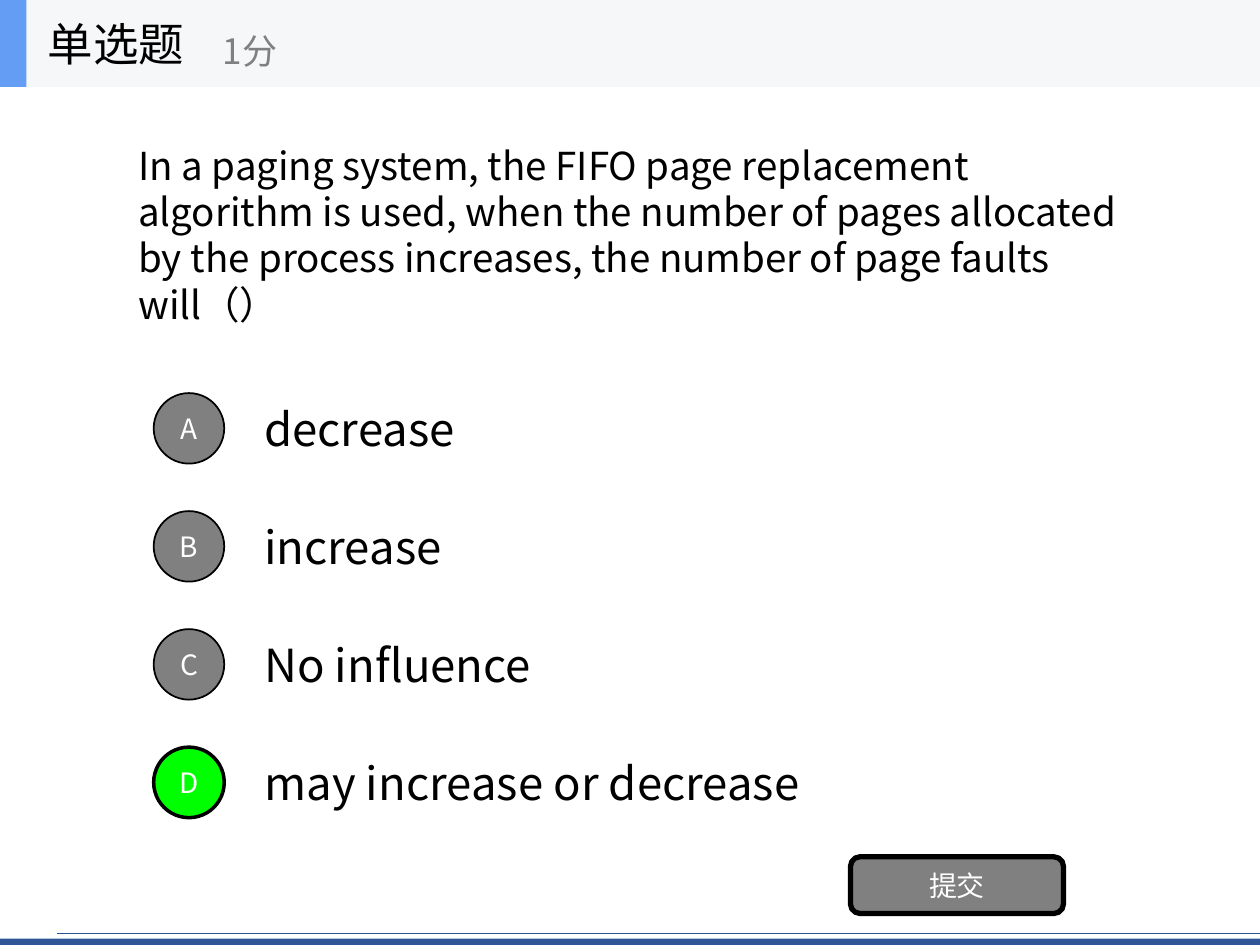
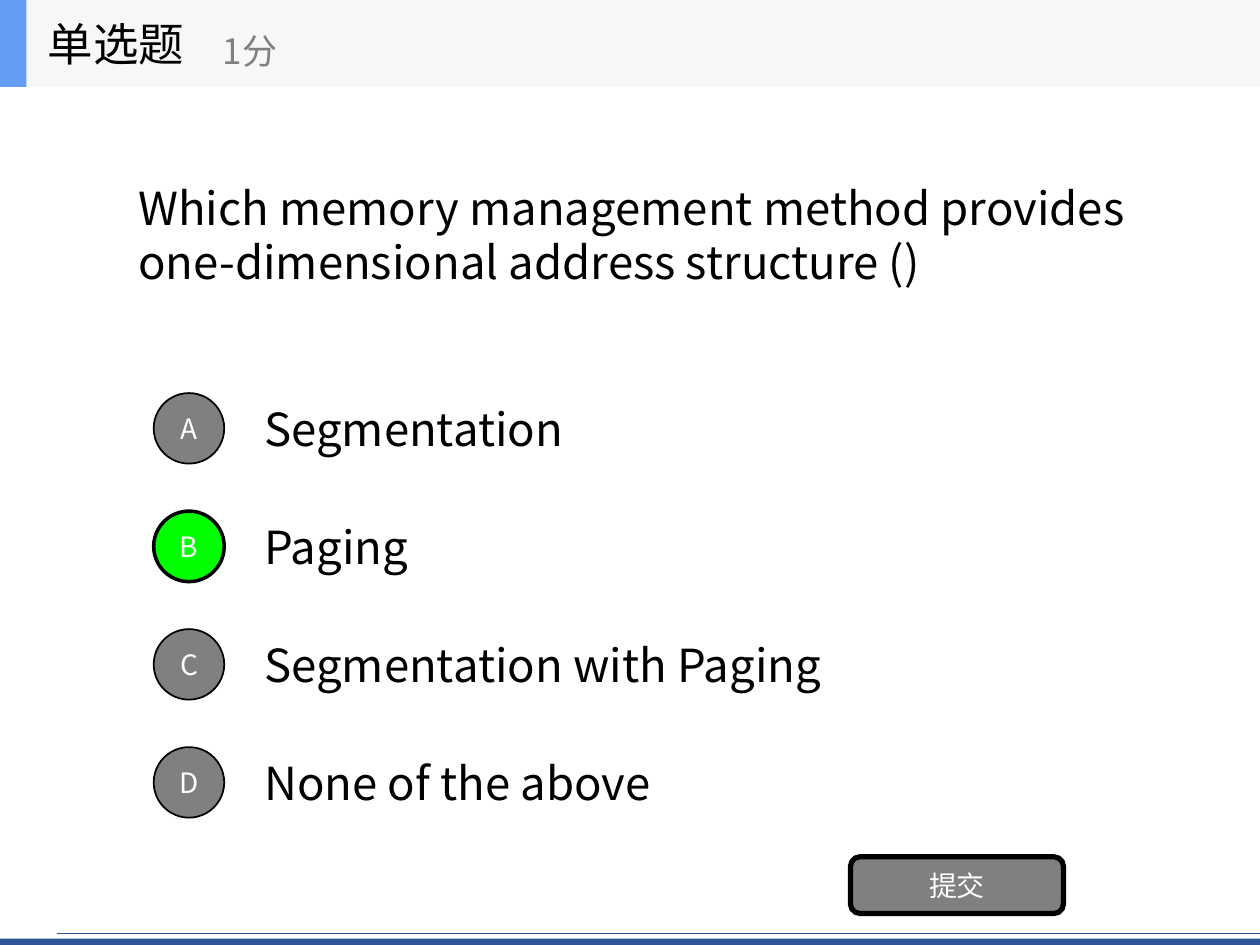
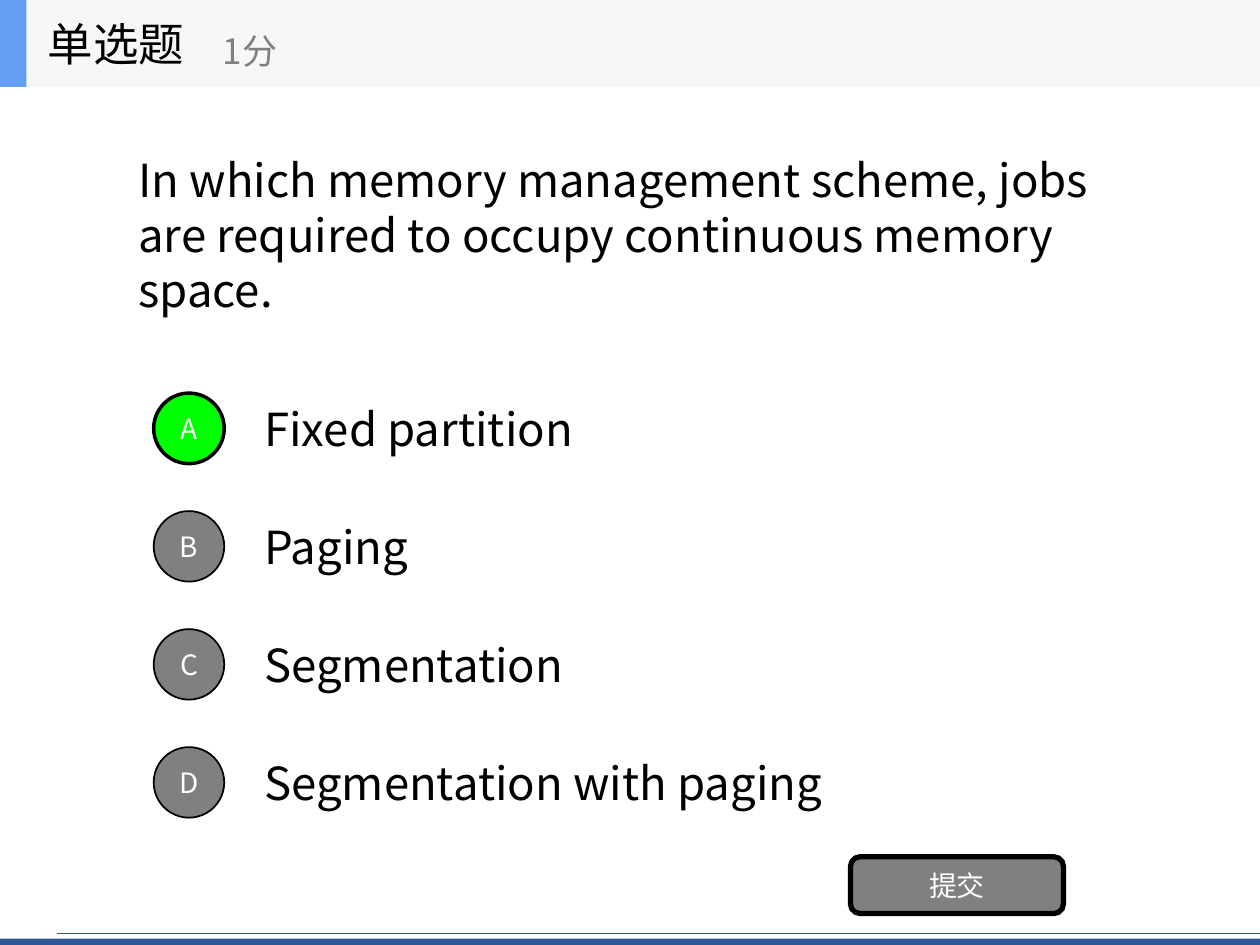
from lxml.etree import SubElement
from pptx import Presentation
from pptx.dml.color import RGBColor
from pptx.enum.shapes import MSO_CONNECTOR, MSO_SHAPE
from pptx.enum.text import MSO_ANCHOR, PP_ALIGN
from pptx.oxml.ns import qn
from pptx.util import Inches, Pt

FONT = "Noto Sans CJK SC"
BLACK = RGBColor(0x00, 0x00, 0x00)
WHITE = RGBColor(0xFF, 0xFF, 0xFF)
GRAY = RGBColor(0x80, 0x80, 0x80)
GREEN = RGBColor(0x00, 0xFF, 0x00)
NAVY = RGBColor(0x2F, 0x55, 0x97)
HEADER_FILL = RGBColor(0xF6, 0xF7, 0xF8)
HEADER_ACCENT = RGBColor(0x63, 0x9E, 0xF4)

SLIDE_WIDTH = 10
HEADER_HEIGHT = 0.69
FIRST_OPTION_TOP = 3.05
OPTION_STEP = 2.81 / 3
OPTION_HEIGHT = 0.7
CIRCLE_SIZE = 0.56

QUESTIONS = [
    {
        "text": "In a paging system, the FIFO page replacement algorithm is used, "
        "when the number of pages allocated by the process increases, "
        "the number of page faults will（）",
        "size": 22,
        "width": 8,
        "options": ["decrease", "increase", "No influence", "may increase or decrease"],
        "answer": "D",
    },
    {
        "text": "Which memory management method provides "
        "one-dimensional address structure ()",
        "size": 26,
        "width": 8.86,
        "options": ["Segmentation", "Paging", "Segmentation with Paging", "None of the above"],
        "answer": "B",
    },
    {
        "text": "In which memory management scheme, jobs are required "
        "to occupy continuous memory space.",
        "size": 26,
        "width": 8,
        "options": ["Fixed partition", "Paging", "Segmentation", "Segmentation with paging"],
        "answer": "A",
    },
]


def add_box(shapes, kind, left, top, width, height, fill, line_width=0):
    shape = shapes.add_shape(kind, Inches(left), Inches(top), Inches(width), Inches(height))
    shape.shadow.inherit = False
    shape.fill.solid()
    shape.fill.fore_color.rgb = fill
    if line_width:
        shape.line.color.rgb = BLACK
        shape.line.width = Pt(line_width)
    else:
        shape.line.fill.background()
    return shape


def write_text(shape, text, size, color, alignment=PP_ALIGN.LEFT):
    frame = shape.text_frame
    frame.word_wrap = True
    frame.vertical_anchor = MSO_ANCHOR.MIDDLE
    paragraph = frame.paragraphs[0]
    paragraph.alignment = alignment
    run = paragraph.add_run()
    run.text = text
    run.font.size = Pt(size)
    run.font.color.rgb = color
    run.font.name = FONT
    SubElement(run.font._element, qn("a:ea"), typeface=FONT)


presentation = Presentation()
presentation.slide_width = Inches(SLIDE_WIDTH)
presentation.slide_height = Inches(7.5)

for question in QUESTIONS:
    slide = presentation.slides.add_slide(presentation.slide_layouts[6])
    shapes = slide.shapes

    add_box(shapes, MSO_SHAPE.RECTANGLE, 0, 7.45, SLIDE_WIDTH, 0.05, NAVY)
    footer_line = shapes.add_connector(
        MSO_CONNECTOR.STRAIGHT, Inches(0.45), Inches(7.41), Inches(SLIDE_WIDTH), Inches(7.41)
    )
    footer_line.line.color.rgb = NAVY
    footer_line.line.width = Pt(0.5)
    SubElement(footer_line._element.spPr, qn("a:effectLst"))

    question_box = shapes.add_textbox(
        Inches(1), Inches(HEADER_HEIGHT), Inches(question["width"]), Inches(2.34)
    )
    write_text(question_box, question["text"], question["size"], BLACK)

    for index, (letter, option) in enumerate(zip("ABCD", question["options"])):
        top = FIRST_OPTION_TOP + index * OPTION_STEP
        option_box = shapes.add_textbox(Inches(2), Inches(top), Inches(7), Inches(OPTION_HEIGHT))
        write_text(option_box, option, 26, BLACK)

        is_answer = letter == question["answer"]
        circle = add_box(
            shapes, MSO_SHAPE.OVAL,
            1.22, top + (OPTION_HEIGHT - CIRCLE_SIZE) / 2, CIRCLE_SIZE, CIRCLE_SIZE,
            GREEN if is_answer else GRAY, 2 if is_answer else 1,
        )
        write_text(circle, letter, 16, WHITE, PP_ALIGN.CENTER)

    submit_button = add_box(shapes, MSO_SHAPE.ROUNDED_RECTANGLE, 6.75, 6.8, 1.69, 0.45, GRAY, 3)
    write_text(submit_button, "提交", 16, WHITE, PP_ALIGN.CENTER)

    header = shapes.add_group_shape().shapes
    add_box(header, MSO_SHAPE.RECTANGLE, 0, 0, SLIDE_WIDTH, HEADER_HEIGHT, HEADER_FILL)
    add_box(header, MSO_SHAPE.RECTANGLE, 0, 0, 0.21, HEADER_HEIGHT, HEADER_ACCENT)
    question_type = header.add_textbox(Inches(0.28), 0, Inches(2.08), Inches(HEADER_HEIGHT))
    write_text(question_type, "单选题", 26, BLACK)
    score = header.add_textbox(Inches(1.67), Inches(0.12), Inches(2.5), Inches(0.56))
    write_text(score, "1分", 20, GRAY)

presentation.save("out.pptx")
